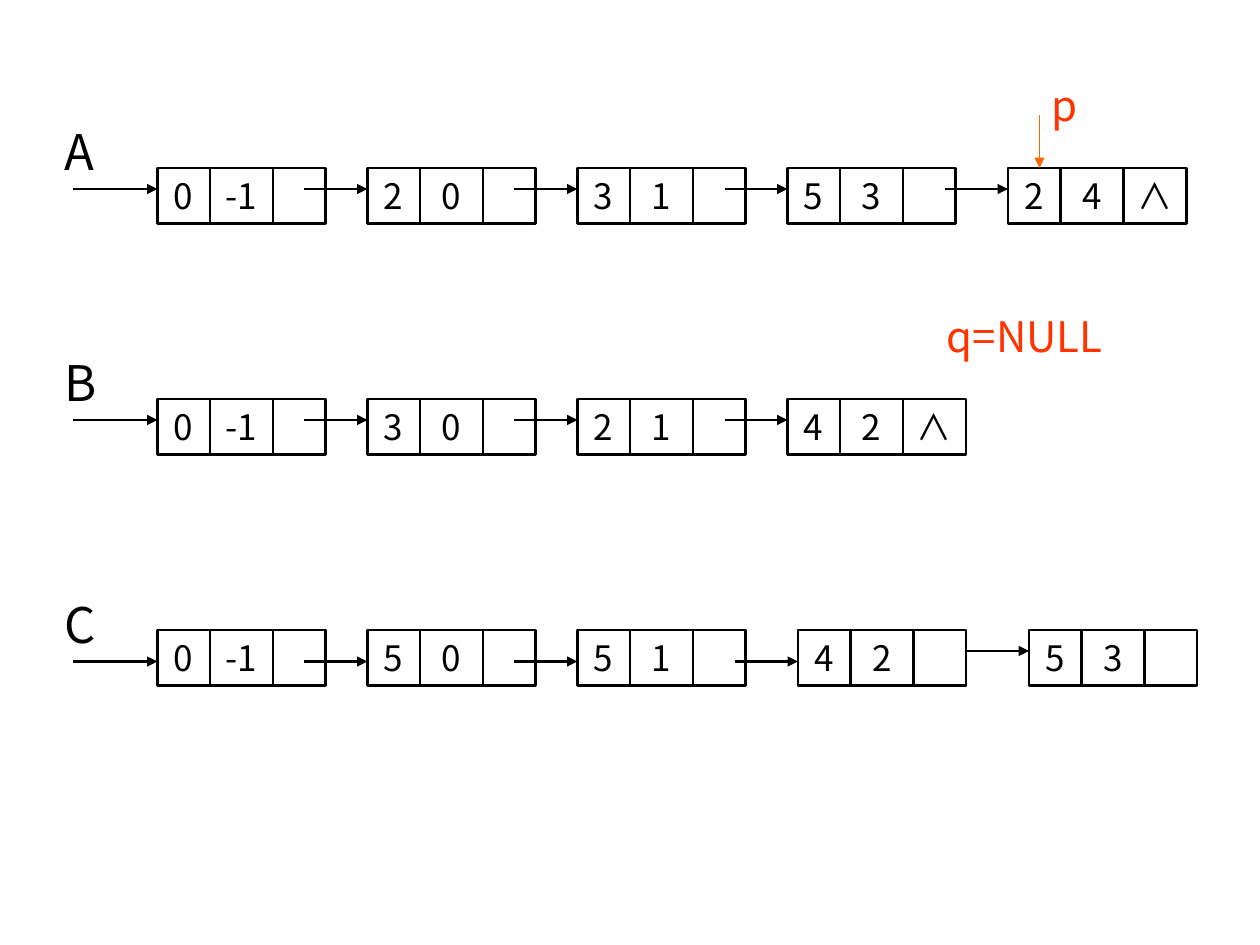
from lxml import etree
from pptx import Presentation
from pptx import util as u
from pptx.dml.color import RGBColor
from pptx.enum import shapes, text
from pptx.oxml import ns

BLACK = RGBColor(0x00, 0x00, 0x00)
RED = RGBColor(0xFF, 0x33, 0x00)
ORANGE = RGBColor(0xFF, 0x66, 0x00)
LATIN_FONT = "Noto Sans CJK JP"
SYMBOL_FONT = "Noto Sans CJK SC"
END_MARK = "∧"

CELL_HEIGHT = 31.7
COEFFICIENT_WIDTH, EXPONENT_WIDTH, LINK_WIDTH, END_WIDTH = 30, 36, 30, 36
ARROW_LENGTH, HEAD_LENGTH = 36, 48

LISTS = [
    ("A", 96, [12] * 5, [
        (90, "0", "-1", ""), (210, "2", "0", ""), (330, "3", "1", ""),
        (450, "5", "3", ""), (576, "2", "4", END_MARK)]),
    ("B", 228, [12] * 4, [
        (90, "0", "-1", ""), (210, "3", "0", ""), (330, "2", "1", ""),
        (450, "4", "2", END_MARK)]),
    ("C", 360, [18] * 4 + [12], [
        (90, "0", "-1", ""), (210, "5", "0", ""), (330, "5", "1", ""),
        (456, "4", "2", ""), (588, "5", "3", "")]),
]


def write_text(shape, wording, size, color, alignment, font_name=LATIN_FONT):
    frame = shape.text_frame
    frame.word_wrap = True
    frame.auto_size = text.MSO_AUTO_SIZE.NONE
    frame.vertical_anchor = text.MSO_ANCHOR.MIDDLE
    paragraph = frame.paragraphs[0]
    paragraph.text = wording
    paragraph.alignment = alignment
    paragraph.font.size = u.Pt(size)
    paragraph.font.name = font_name
    paragraph.font.color.rgb = color
    if font_name == SYMBOL_FONT:
        properties = paragraph.runs[0].font
        properties.name = font_name
        etree.SubElement(paragraph.runs[0]._r.get_or_add_rPr(),
                         ns.qn("a:ea"), typeface=font_name)


def add_label(slide, left, top, width, height, wording, size, color):
    label = slide.shapes.add_textbox(u.Pt(left), u.Pt(top), u.Pt(width), u.Pt(height))
    write_text(label, wording, size, color, text.PP_ALIGN.LEFT)


def add_arrow(slide, start, end, color=BLACK, width=1.5):
    arrow = slide.shapes.add_connector(
        shapes.MSO_CONNECTOR.STRAIGHT, *(u.Pt(value) for value in start + end))
    arrow.line.color.rgb = color
    arrow.line.width = u.Pt(width)
    etree.SubElement(arrow.line._get_or_add_ln(), ns.qn("a:tailEnd"), type="triangle")
    etree.SubElement(arrow._element.spPr, ns.qn("a:effectLst"))


def add_cell(slide, left, top, width, wording):
    cell = slide.shapes.add_shape(
        shapes.MSO_SHAPE.RECTANGLE, u.Pt(left), u.Pt(top), u.Pt(width), u.Pt(CELL_HEIGHT))
    cell.shadow.inherit = False
    cell.fill.background()
    cell.line.color.rgb = BLACK
    cell.line.width = u.Pt(1.5)
    if wording:
        font_name = SYMBOL_FONT if wording == END_MARK else LATIN_FONT
        write_text(cell, wording, 20, BLACK, text.PP_ALIGN.CENTER, font_name)


def add_node(slide, left, top, wordings):
    link_width = END_WIDTH if wordings[-1] == END_MARK else LINK_WIDTH
    for wording, width in zip(wordings, (COEFFICIENT_WIDTH, EXPONENT_WIDTH, link_width)):
        add_cell(slide, left, top, width, wording)
        left += width


def add_linked_list(slide, name, top, arrow_offsets, nodes):
    for left, *wordings in nodes:
        add_node(slide, left, top, wordings)
    for index, (node, offset) in enumerate(zip(nodes, arrow_offsets)):
        length = ARROW_LENGTH if index else HEAD_LENGTH
        add_arrow(slide, (node[0] - length, top + offset), (node[0], top + offset))
    add_label(slide, nodes[0][0] - 60, top + arrow_offsets[0] - 42, 60, 41, name, 28, BLACK)


def add_pointers(slide, left, top):
    add_arrow(slide, (left, top + 24), (left, top + 54), ORANGE, 0.75)
    add_label(slide, left, top, 60, 36, "p", 24, RED)
    add_label(slide, left - 60, top + 132, 138, 36, "q=NULL", 24, RED)


def main():
    presentation = Presentation()
    presentation.slide_width = u.Pt(720)
    presentation.slide_height = u.Pt(540)
    slide = presentation.slides.add_slide(presentation.slide_layouts[6])
    for linked_list in LISTS:
        add_linked_list(slide, *linked_list)
    add_pointers(slide, 594, 42)
    presentation.save("out.pptx")


if __name__ == "__main__":
    main()
